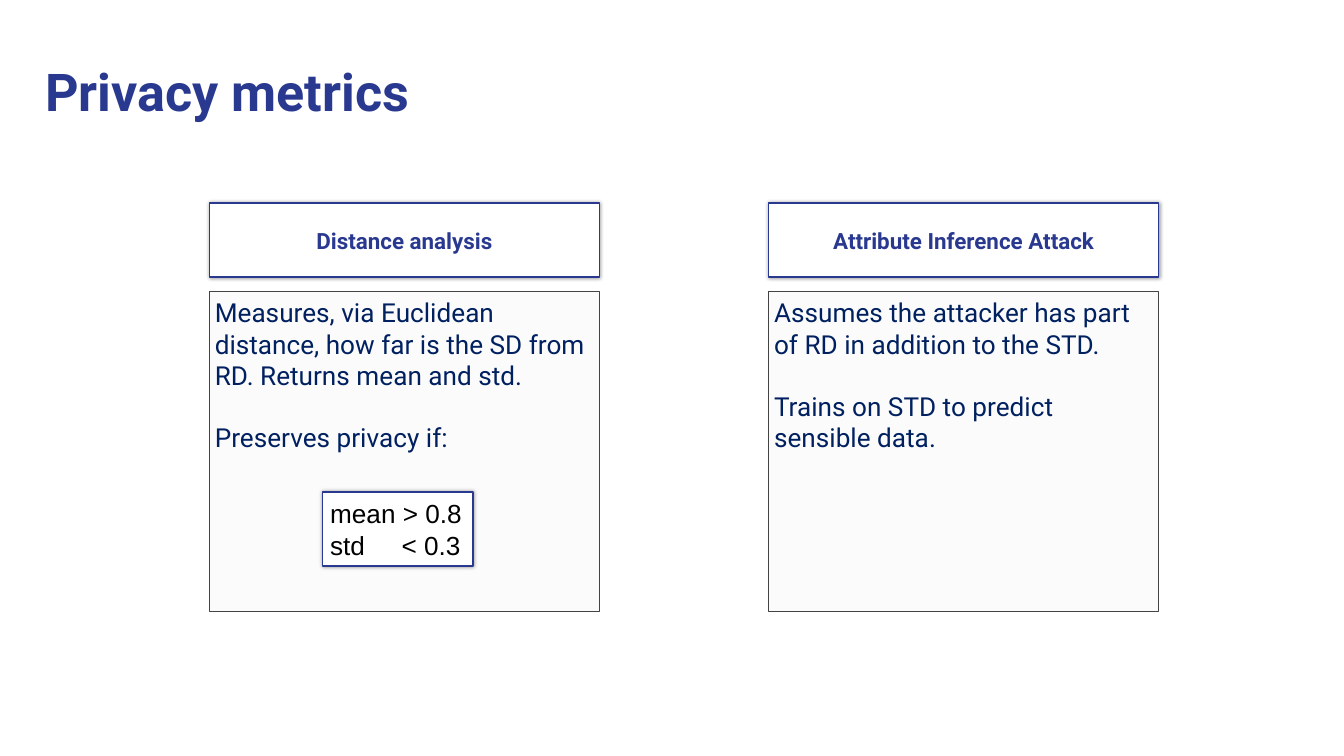
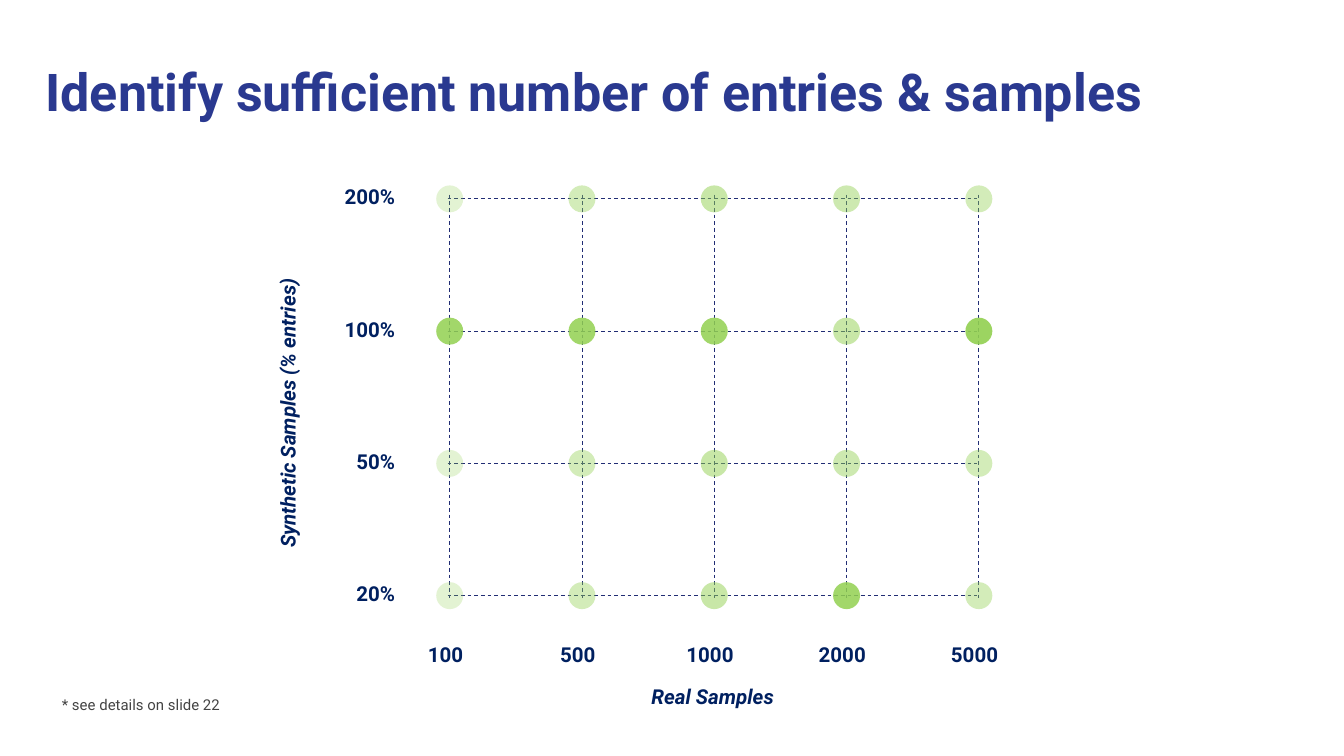
"""Build two slides: privacy metrics and the grid of real and synthetic sample sizes."""
from lxml.etree import SubElement
from pptx import Presentation
from pptx.dml.color import RGBColor
from pptx.enum.dml import MSO_LINE_DASH_STYLE as Dash
from pptx.enum.shapes import MSO_CONNECTOR as Connector, MSO_SHAPE as Shape
from pptx.enum.text import MSO_ANCHOR as Anchor, MSO_AUTO_SIZE as AutoSize, PP_ALIGN as Align
from pptx.oxml.ns import qn
from pptx.util import Cm, Pt

BLUE, NAVY, GREY, GREEN, GRID = "2A3990", "002060", "434343", "92D050", "212D74"
FONT = "Roboto"
hex_colour = RGBColor.from_string


def write_text(shape, text, size, colour, font=FONT, bold=False, italic=False,
               align=Align.LEFT, anchor=Anchor.MIDDLE, inset=0, gap=0):
    text_frame = shape.text_frame
    text_frame.text = text
    text_frame.word_wrap = True
    text_frame.auto_size = AutoSize.NONE
    text_frame.vertical_anchor = anchor
    text_frame.margin_left = text_frame.margin_right = Cm(inset)
    text_frame.margin_top = text_frame.margin_bottom = Cm(inset)
    for index, paragraph in enumerate(text_frame.paragraphs):
        paragraph.alignment = align
        if gap and index:
            paragraph.space_before = Pt(gap)
        for run in paragraph.runs:
            run.font.name, run.font.size = font, Pt(size)
            run.font.bold, run.font.italic = bold, italic
            run.font.color.rgb = hex_colour(colour)


def add_panel(slide, left, top, width, height, fill, line, shadow=False):
    panel = slide.shapes.add_shape(Shape.RECTANGLE, Cm(left), Cm(top), Cm(width), Cm(height))
    panel.fill.solid()
    panel.fill.fore_color.rgb = hex_colour(fill)
    panel.line.color.rgb = hex_colour(line)
    panel.line.width = Pt(0.75)
    panel.shadow.inherit = False
    if shadow:
        effects = panel._element.spPr.find(qn("a:effectLst"))
        outer = SubElement(effects, qn("a:outerShdw"), blurRad=str(Pt(2)), dist="0", dir="0")
        black = SubElement(outer, qn("a:srgbClr"), val="000000")
        SubElement(black, qn("a:alpha"), val="40000")
    return panel


presentation = Presentation()
presentation.slide_width, presentation.slide_height = Cm(25.4), Cm(14.29)
slides = []
for heading in ("Privacy metrics", "Identify sufficient number of entries & samples"):
    slide = presentation.slides.add_slide(presentation.slide_layouts[5])
    title = slide.shapes.title
    title.left, title.top, title.width, title.height = Cm(0.86), Cm(1.12), Cm(23.67), Cm(1.68)
    write_text(title, heading, 27.9, BLUE, bold=True, anchor=Anchor.TOP)
    slides.append(slide)
metrics_slide, samples_slide = slides

metrics = [
    (3.96, "Distance analysis",
     "Measures, via Euclidean distance, how far is the SD from RD. Returns mean and std.\n"
     "Preserves privacy if:"),
    (14.53, "Attribute Inference Attack",
     "Assumes the attacker has part of RD in addition to the STD.\n"
     "Trains on STD to predict sensible data."),
]
for left, name, description in metrics:
    header = add_panel(metrics_slide, left, 3.84, 7.37, 1.4, "FFFFFF", BLUE, shadow=True)
    write_text(header, name, 12, BLUE, bold=True, align=Align.CENTER)
    body = add_panel(metrics_slide, left, 5.51, 7.37, 6.05, "FBFBFB", GREY)
    write_text(body, description, 14, NAVY, anchor=Anchor.TOP, inset=0.1, gap=16.4)

thresholds = add_panel(metrics_slide, 6.1, 9.3, 2.84, 1.4, "FFFFFF", BLUE, shadow=True)
write_text(thresholds, "mean > 0.8\nstd\t< 0.3", 14, "000000", font="Arial")
thresholds.text_frame.margin_left = Cm(0.14)
tab_list = SubElement(thresholds.text_frame.paragraphs[1]._p.get_or_add_pPr(), qn("a:tabLst"))
SubElement(tab_list, qn("a:tab"), pos=str(Cm(1.35)), algn="l")

STEP, DOT = 2.5, 0.51
real_samples = ["100", "500", "1000", "2000", "5000"]
opacity_rows = [
    ("200%", [25, 40, 50, 45, 40]),
    ("100%", [85, 85, 85, 50, 90]),
    ("50%", [25, 40, 50, 45, 40]),
    ("20%", [25, 40, 50, 85, 40]),
]
columns = [8.5 + STEP * index for index in range(len(real_samples))]
rows = [3.76 + STEP * index for index in range(len(opacity_rows))]

grid_lines = [(x, 3.68, x, 11.3) for x in columns] + [(8.46, y, 18.47, y) for y in rows]
for ends in grid_lines:
    grid_line = samples_slide.shapes.add_connector(Connector.STRAIGHT, *map(Cm, ends))
    grid_line.line.color.rgb = hex_colour(GRID)
    grid_line.line.width = Pt(0.5)
    grid_line.line.dash_style = Dash.DASH
    SubElement(grid_line._element.spPr, qn("a:effectLst"))

for y, (share, opacities) in zip(rows, opacity_rows):
    for x, opacity in zip(columns, opacities):
        dot = samples_slide.shapes.add_shape(
            Shape.OVAL, Cm(x - DOT / 2), Cm(y - DOT / 2), Cm(DOT), Cm(DOT))
        dot.fill.solid()
        dot.fill.fore_color.rgb = hex_colour(GREEN)
        dot.line.fill.background()
        dot.shadow.inherit = False
        green = dot._element.spPr.find(qn("a:solidFill")).find(qn("a:srgbClr"))
        SubElement(green, qn("a:alpha"), val=str(opacity * 1000))

labels = [(x - 0.78, 11.99, 1.4, count, Align.CENTER) for x, count in zip(columns, real_samples)]
labels += [(5.97, y - 0.41, 1.5, share, Align.RIGHT)
           for y, (share, opacities) in zip(rows, opacity_rows)]
for left, top, width, text, align in labels:
    label = samples_slide.shapes.add_textbox(Cm(left), Cm(top), Cm(width), Cm(0.74))
    write_text(label, text, 11, NAVY, bold=True, align=align)

axis_titles = [(12.01, 12.8, 2.92, 0, "Real Samples"),
               (2.31, 7.44, 6.25, 270, "Synthetic Samples (% entries)")]
for left, top, width, rotation, text in axis_titles:
    axis_title = samples_slide.shapes.add_textbox(Cm(left), Cm(top), Cm(width), Cm(0.74))
    axis_title.rotation = rotation
    write_text(axis_title, text, 11, NAVY, bold=True, italic=True, align=Align.CENTER)

footnote = samples_slide.shapes.add_textbox(Cm(1.17), Cm(13.16), Cm(6.15), Cm(0.33))
write_text(footnote, "* see details on slide 22", 8, GREY)

presentation.save("out.pptx")
